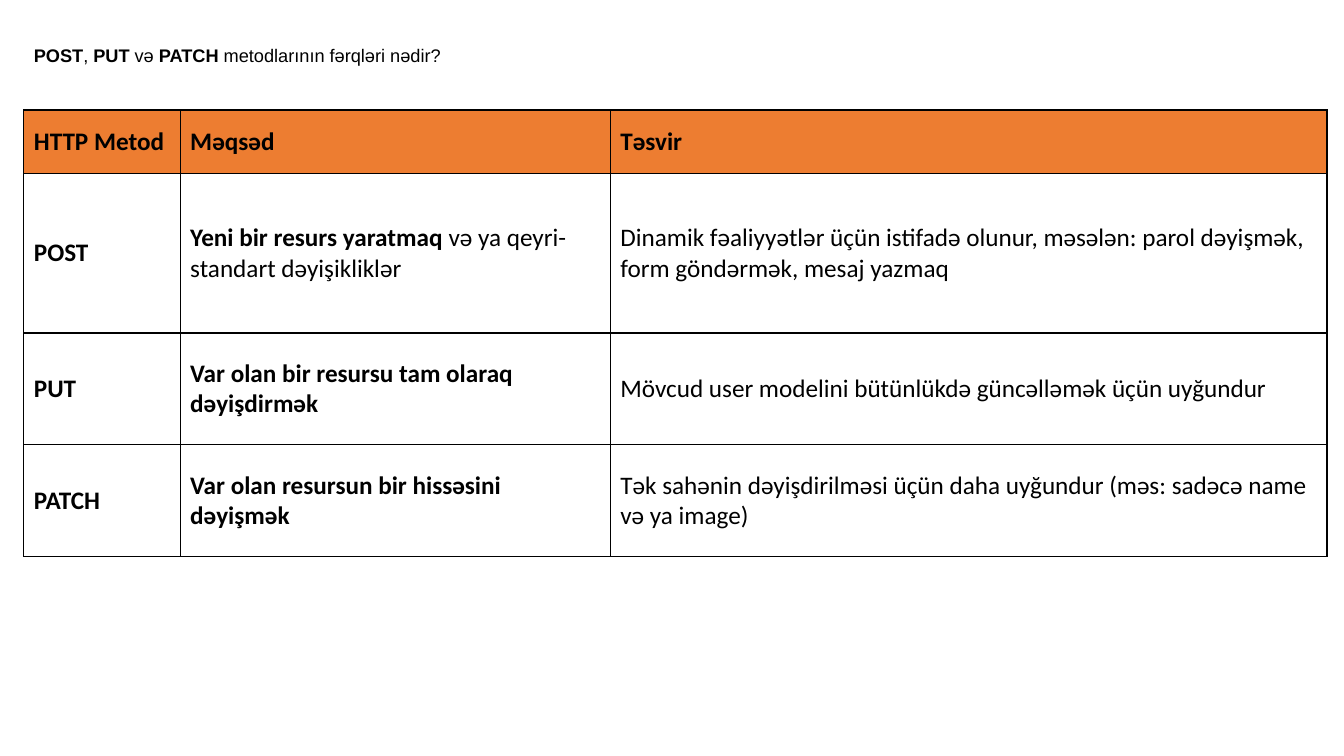
from lxml import etree
from pptx import Presentation
from pptx.dml.color import RGBColor
from pptx.enum.text import MSO_ANCHOR, MSO_AUTO_SIZE, PP_ALIGN
from pptx.oxml.ns import qn
from pptx.util import Cm, Pt

MIDDLE, TOP = MSO_ANCHOR.MIDDLE, MSO_ANCHOR.TOP
GROW = MSO_AUTO_SIZE.SHAPE_TO_FIT_TEXT
LEFT = PP_ALIGN.LEFT
COLOURS = {"ink": "000000", "header": "ED7D31"}

# Each text is a list of (words, bold) spans.
TITLE = [("POST", True), (", ", False), ("PUT", True), (" və ", False),
         ("PATCH", True), (" metodlarının fərqləri nədir?", False)]
ROWS = [
    [[("HTTP Metod", True)], [("Məqsəd", True)], [("Təsvir", True)]],
    [[("POST", True)],
     [("Yeni bir resurs yaratmaq", True),
      (" və ya qeyri-standart dəyişikliklər", False)],
     [("Dinamik fəaliyyətlər üçün istifadə olunur, məsələn: parol dəyişmək, "
       "form göndərmək, mesaj yazmaq", False)]],
    [[("PUT", True)],
     [("Var olan bir resursu tam olaraq dəyişdirmək", True)],
     [("Mövcud user modelini bütünlükdə güncəlləmək üçün uyğundur", False)]],
    [[("PATCH", True)],
     [("Var olan resursun bir hissəsini dəyişmək", True)],
     [("Tək sahənin dəyişdirilməsi üçün daha uyğundur "
       "(məs: sadəcə name və ya image)", False)]],
]
COLUMN_WIDTHS = [3.94, 10.84, 18.06]
ROW_HEIGHTS = [1.6, 4.02, 2.82, 2.82]
MARGIN = 0.6


def rgb(name):
    return RGBColor.from_string(COLOURS[name])


def write(frame, spans, font_name, size):
    para = frame.paragraphs[0]
    para.alignment = LEFT
    para.font.name = font_name
    para.font.size = Pt(size)
    para.font.color.rgb = rgb("ink")
    for words, bold in spans:
        span = para.add_run()
        span.text = words
        span.font.bold = bold
    return para


def add_borders(cell):
    properties = cell._tc.get_or_add_tcPr()
    for position, side in enumerate(("a:lnL", "a:lnR", "a:lnT", "a:lnB")):
        line = etree.Element(qn(side), w=str(Pt(1)))
        fill = etree.SubElement(line, qn("a:solidFill"))
        etree.SubElement(fill, qn("a:srgbClr"), val=COLOURS["ink"])
        properties.insert(position, line)


def add_title(page):
    box = page.shapes.title
    box.left, box.top, box.width, box.height = Cm(MARGIN), Cm(0.71), Cm(32.66), Cm(1)
    frame = box.text_frame
    frame.word_wrap = True
    frame.auto_size = GROW
    frame.vertical_anchor = TOP
    write(frame, TITLE, "Arial", 13).line_spacing = 1.5


def add_method_table(page):
    table = page.shapes.add_table(
        len(ROWS), len(COLUMN_WIDTHS), Cm(MARGIN), Cm(2.77),
        Cm(sum(COLUMN_WIDTHS)), Cm(sum(ROW_HEIGHTS))).table
    table.first_row = table.horz_banding = False
    for column, width in zip(table.columns, COLUMN_WIDTHS):
        column.width = Cm(width)
    for row, height in zip(table.rows, ROW_HEIGHTS):
        row.height = Cm(height)
    for row_number, texts in enumerate(ROWS):
        for column_number, spans in enumerate(texts):
            cell = table.cell(row_number, column_number)
            cell.vertical_anchor = MIDDLE
            if row_number == 0:
                cell.fill.solid()
                cell.fill.fore_color.rgb = rgb("header")
            else:
                cell.fill.background()
            add_borders(cell)
            write(cell.text_frame, spans, "Calibri", 18)


def main():
    deck = Presentation()
    deck.slide_width, deck.slide_height = Cm(33.87), Cm(19.05)
    page = deck.slides.add_slide(deck.slide_layouts.get_by_name("Title Only"))
    add_title(page)
    add_method_table(page)
    deck.save("out.pptx")


if __name__ == "__main__":
    main()
